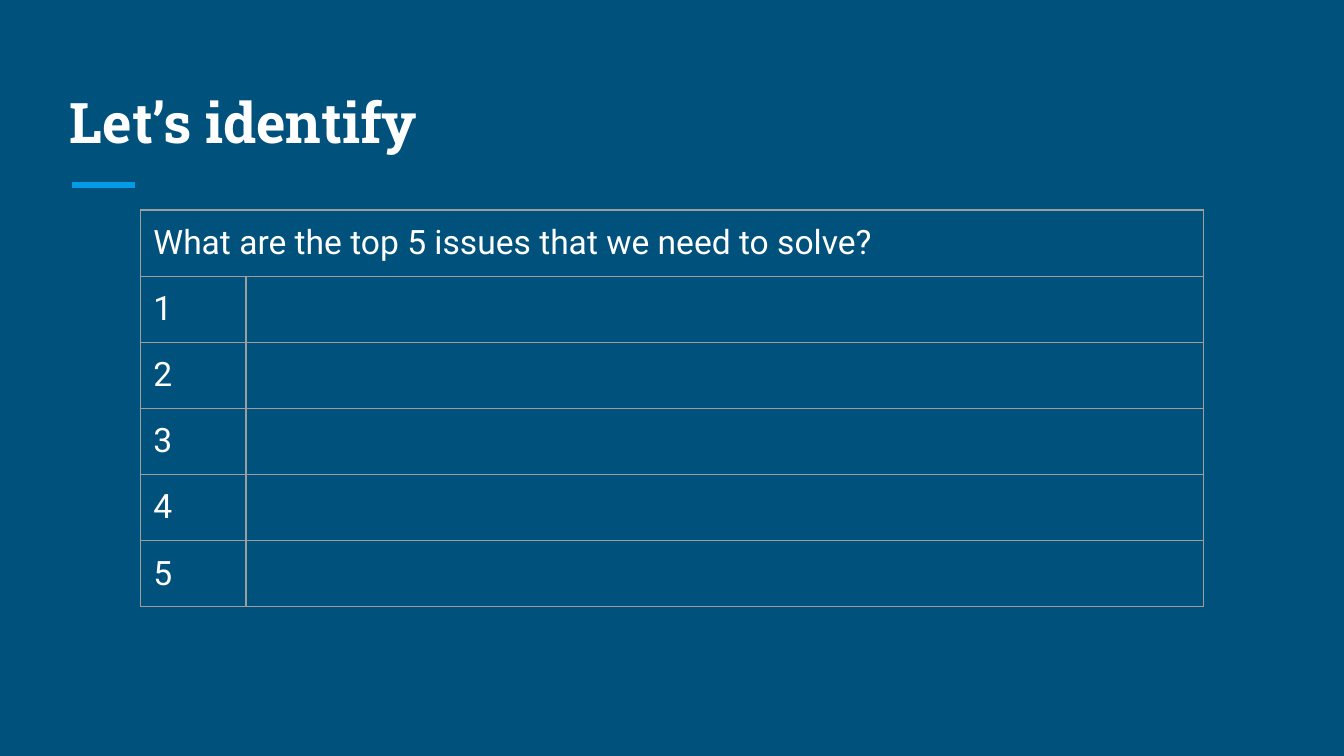
from lxml import etree
from pptx import Presentation
from pptx import util as u
from pptx.dml.color import RGBColor
from pptx.enum import shapes, text
from pptx.oxml import ns

NAVY = RGBColor(0x00, 0x51, 0x7C)
BLUE = RGBColor(0x03, 0x9B, 0xE5)
GREY = RGBColor(0x9E, 0x9E, 0x9E)
WHITE = RGBColor(0xFF, 0xFF, 0xFF)
INSET = u.Cm(0.25)


def style(p, name, size, bold=False):
    """Set a paragraph's font in white."""
    f = p.font
    f.name, f.size, f.bold = name, u.Pt(size), bold
    f.color.rgb = WHITE


def pad(box):
    """Give a text frame or cell equal margins."""
    box.margin_left = box.margin_right = INSET
    box.margin_top = box.margin_bottom = INSET


def add_title(s, title, left, top, width, height):
    """Fill the title placeholder and draw the accent rule below it."""
    sp = s.shapes.title
    sp.left, sp.top, sp.width, sp.height = left, top, width, height
    tf = sp.text_frame
    tf.text = title
    tf.word_wrap = True
    tf.auto_size = text.MSO_AUTO_SIZE.NONE
    tf.vertical_anchor = text.MSO_ANCHOR.BOTTOM
    pad(tf)
    p = tf.paragraphs[0]
    p.alignment = text.PP_ALIGN.LEFT
    style(p, "Roboto Slab", 30, True)

    x, y = left + u.Cm(0.3), top + height + u.Cm(0.33)
    ln = s.shapes.add_connector(shapes.MSO_CONNECTOR.STRAIGHT, x, y, x + u.Cm(1.18), y)
    ln.line.color.rgb = BLUE
    ln.line.width = u.Pt(3)
    etree.SubElement(ln._element.spPr, ns.qn("a:effectLst"))


def outline(cell):
    """Draw thin grey borders on all sides of a cell and clear its fill."""
    tcPr = cell._tc.get_or_add_tcPr()
    for side in "LRTB":
        ln = etree.SubElement(tcPr, ns.qn(f"a:ln{side}"), w=str(u.Pt(0.75)))
        fill = etree.SubElement(ln, ns.qn("a:solidFill"))
        etree.SubElement(fill, ns.qn("a:srgbClr"), val=str(GREY))
    cell.fill.background()


def add_issues(s, question, count, left, top, width, height):
    """Add a table with a question above numbered empty rows."""
    rows = count + 1
    tbl = s.shapes.add_table(rows, 2, left, top, width, height).table
    tbl.first_row = tbl.horz_banding = False
    tbl.columns[0].width = u.Cm(2)
    tbl.columns[1].width = width - u.Cm(2)
    for i in range(rows):
        tbl.rows[i].height = height // rows
        tbl.cell(i, 0).text = str(i) if i else question
        for cell in tbl.rows[i].cells:
            pad(cell)
            outline(cell)
            style(cell.text_frame.paragraphs[0], "Roboto", 18)
    tbl.cell(0, 0).merge(tbl.cell(0, 1))


def main():
    """Build the slide and save it."""
    prs = Presentation()
    prs.slide_width, prs.slide_height = u.Cm(25.4), u.Cm(14.29)
    s = prs.slides.add_slide(prs.slide_layouts.get_by_name("Title Only"))
    s.background.fill.solid()
    s.background.fill.fore_color.rgb = NAVY
    add_title(s, "Let’s identify", u.Cm(1.07), u.Cm(1.27), u.Cm(23.24), u.Cm(1.9))
    add_issues(s, "What are the top 5 issues that we need to solve?", 5,
               u.Cm(2.65), u.Cm(3.97), u.Cm(20.1), u.Cm(7.5))
    prs.save("out.pptx")


if __name__ == "__main__":
    main()
